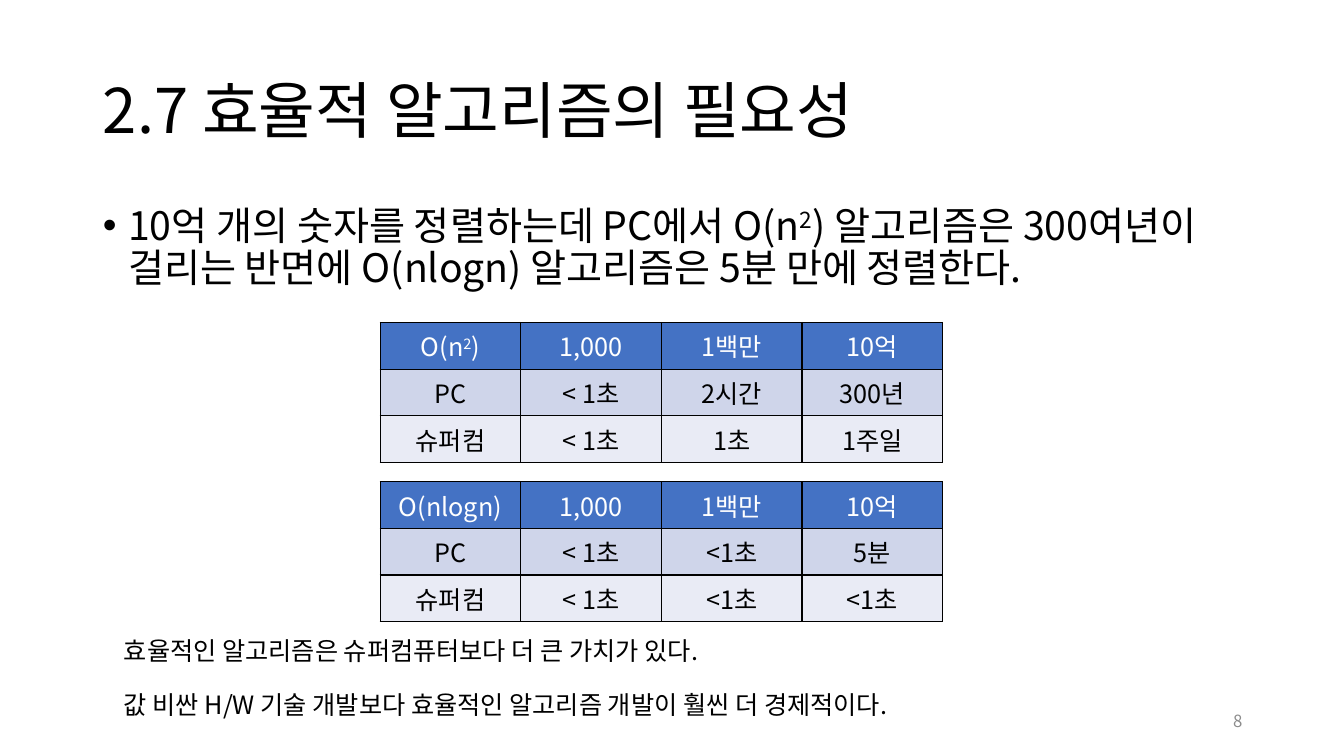
from lxml.etree import SubElement
from pptx import Presentation
from pptx.dml.color import RGBColor
from pptx.enum.text import MSO_ANCHOR as Anchor, MSO_AUTO_SIZE as AutoSize, PP_ALIGN as Align
from pptx.oxml.ns import qn
from pptx.util import Inches, Pt

BLACK = RGBColor(0x00, 0x00, 0x00)
WHITE = RGBColor(0xFF, 0xFF, 0xFF)
GRAY = RGBColor(0x8C, 0x8C, 0x8C)
HEADER_BLUE = RGBColor(0x44, 0x72, 0xC4)
BAND_DARK = RGBColor(0xCF, 0xD5, 0xEA)
BAND_LIGHT = RGBColor(0xE9, 0xEB, 0xF5)


class SlideBuilder:
    """Holds the text style and the current slide, and adds elements to it."""

    font_name = "Noto Sans CJK KR"
    row_styles = [(HEADER_BLUE, WHITE), (BAND_DARK, BLACK), (BAND_LIGHT, BLACK)]

    def __init__(self, slide):
        self.slide = slide

    def apply(self, target, values):
        for name, value in values.items():
            setattr(target, name, value)

    def place(self, shape, box):
        names = ("left", "top", "width", "height")
        self.apply(shape, {name: Inches(size) for name, size in zip(names, box)})

    def add_text(self, paragraph, text, size, color=BLACK, **layout):
        self.apply(paragraph, layout)
        before, squared, after = text.partition("²")
        for part, raised in ((before, False), ("2" if squared else "", True), (after, False)):
            if not part:
                continue
            run = paragraph.add_run()
            run.text = part
            self.apply(run.font, {"size": Pt(size), "name": self.font_name})
            run.font.color.rgb = color
            properties = run._r.get_or_add_rPr()
            SubElement(properties, qn("a:ea")).set("typeface", self.font_name)
            if raised:
                properties.set("baseline", "30000")

    def title(self, text, box):
        title = self.slide.shapes.title
        self.place(title, box)
        self.apply(title.text_frame, {"vertical_anchor": Anchor.MIDDLE, "auto_size": AutoSize.NONE})
        self.add_text(title.text_frame.paragraphs[0], text, 44, alignment=Align.LEFT, line_spacing=0.9)

    def bullets(self, items, box):
        body = self.slide.placeholders[1]
        self.place(body, box)
        frame = body.text_frame
        self.apply(frame, {"vertical_anchor": Anchor.TOP, "auto_size": AutoSize.NONE})
        for index, item in enumerate(items):
            paragraph = frame.add_paragraph() if index else frame.paragraphs[0]
            self.add_text(paragraph, item, 28, line_spacing=0.9, space_before=Pt(10))
            properties = paragraph._p.get_or_add_pPr()
            properties.set("marL", str(Inches(0.25)))
            properties.set("indent", str(Inches(-0.25)))
            SubElement(properties, qn("a:buFont")).set("typeface", "Arial")
            SubElement(properties, qn("a:buChar")).set("char", "•")

    def textbox(self, lines, box, size, color=BLACK, anchor=Anchor.TOP, gap=0, **layout):
        frame = self.slide.shapes.add_textbox(*map(Inches, box)).text_frame
        self.apply(frame, {"word_wrap": True, "vertical_anchor": anchor})
        for index, line in enumerate(lines):
            paragraph = frame.add_paragraph() if index else frame.paragraphs[0]
            self.add_text(paragraph, line, size, color, space_before=Pt(gap if index else 0), **layout)

    def border(self, cell):
        properties = cell._tc.get_or_add_tcPr()
        for side in ("a:lnL", "a:lnR", "a:lnT", "a:lnB"):
            line = SubElement(properties, qn(side), w=str(Pt(1)))
            SubElement(SubElement(line, qn("a:solidFill")), qn("a:srgbClr")).set("val", str(BLACK))

    def table(self, rows, box):
        frame = self.slide.shapes.add_table(len(rows), len(rows[0]), *map(Inches, box))
        for row, values, (fill, color) in zip(frame.table.rows, rows, self.row_styles):
            for cell, value in zip(row.cells, values):
                self.border(cell)
                cell.fill.solid()
                cell.fill.fore_color.rgb = fill
                self.add_text(cell.text_frame.paragraphs[0], value, 18, color, alignment=Align.CENTER)


presentation = Presentation()
presentation.slide_width, presentation.slide_height = Inches(13.33), Inches(7.5)
builder = SlideBuilder(presentation.slides.add_slide(presentation.slide_layouts[1]))

builder.title("2.7 효율적 알고리즘의 필요성", (0.92, 0.4, 11.5, 1.45))
builder.bullets(
    ["10억 개의 숫자를 정렬하는데 PC에서 O(n²) 알고리즘은 300여년이 걸리는 반면에 "
     "O(nlogn) 알고리즘은 5분 만에 정렬한다."],
    (0.92, 2, 11.5, 4.76),
)

input_sizes = ["1,000", "1백만", "10억"]
running_times = {
    "O(n²)": (["< 1초", "2시간", "300년"], ["< 1초", "1초", "1주일"]),
    "O(nlogn)": (["< 1초", "<1초", "5분"], ["< 1초", "<1초", "<1초"]),
}
for index, (complexity, (pc, supercomputer)) in enumerate(running_times.items()):
    rows = [[complexity, *input_sizes], ["PC", *pc], ["슈퍼컴", *supercomputer]]
    builder.table(rows, (3.77, 3.2 + 1.58 * index, 5.58, 1.22))

builder.textbox(
    ["효율적인 알고리즘은 슈퍼컴퓨터보다 더 큰 가치가 있다.",
     "값 비싼 H/W 기술 개발보다 효율적인 알고리즘 개발이 훨씬 더 경제적이다."],
    (1.13, 6.25, 11.79, 1.01), 18, gap=17,
)
builder.textbox(["8"], (9.42, 6.95, 3, 0.4), 12, GRAY, Anchor.MIDDLE, alignment=Align.RIGHT)

presentation.save("out.pptx")
